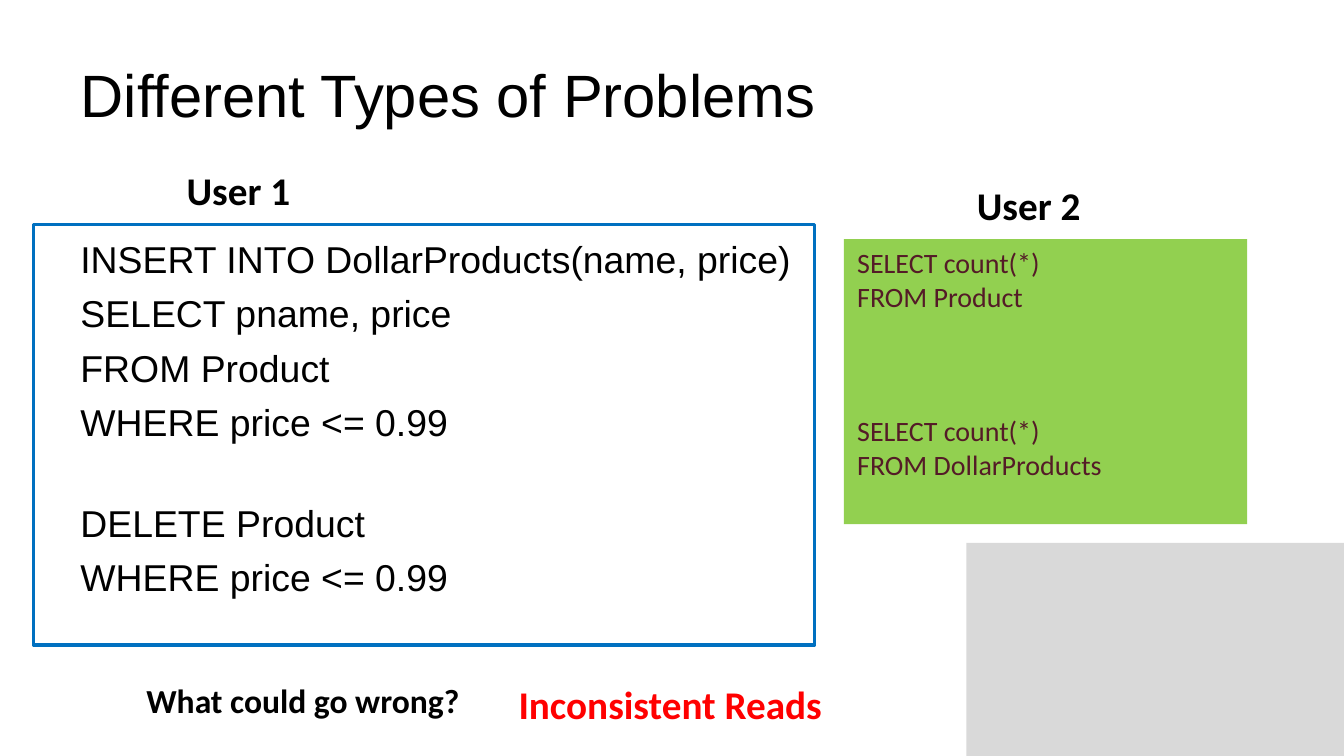
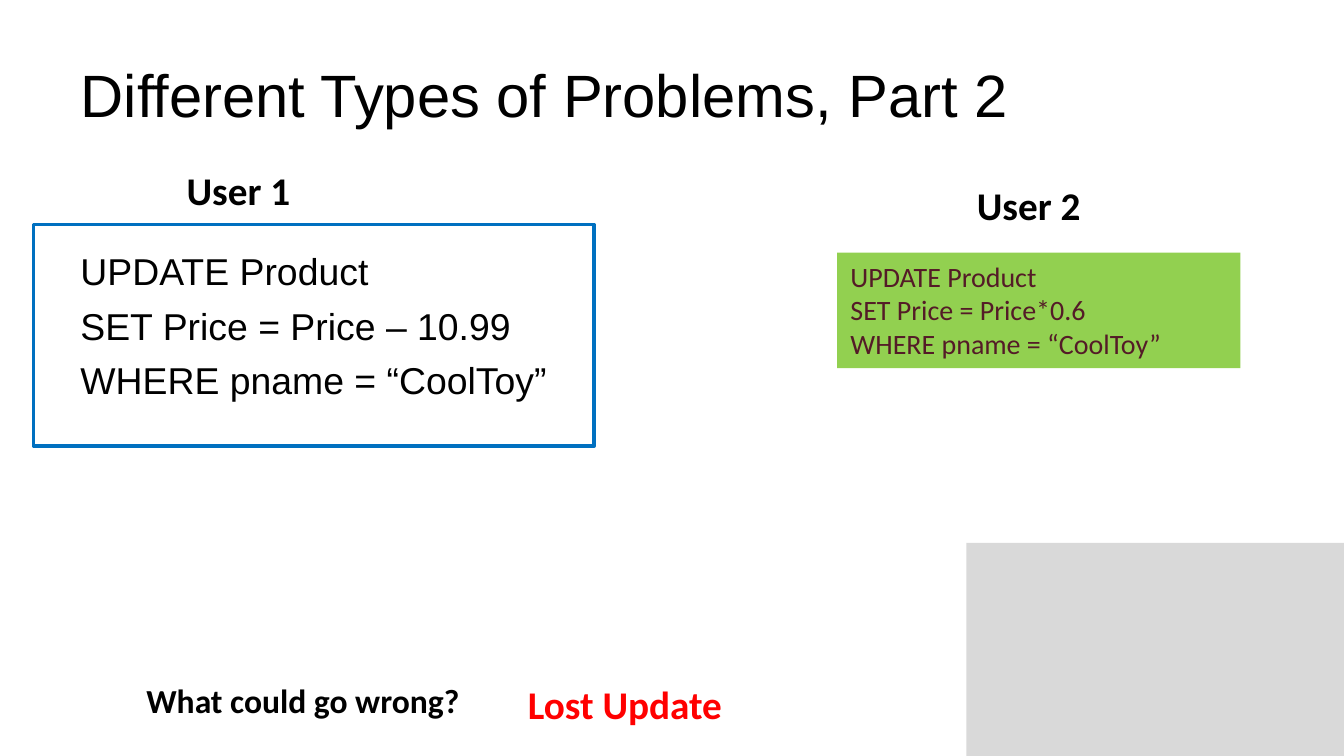
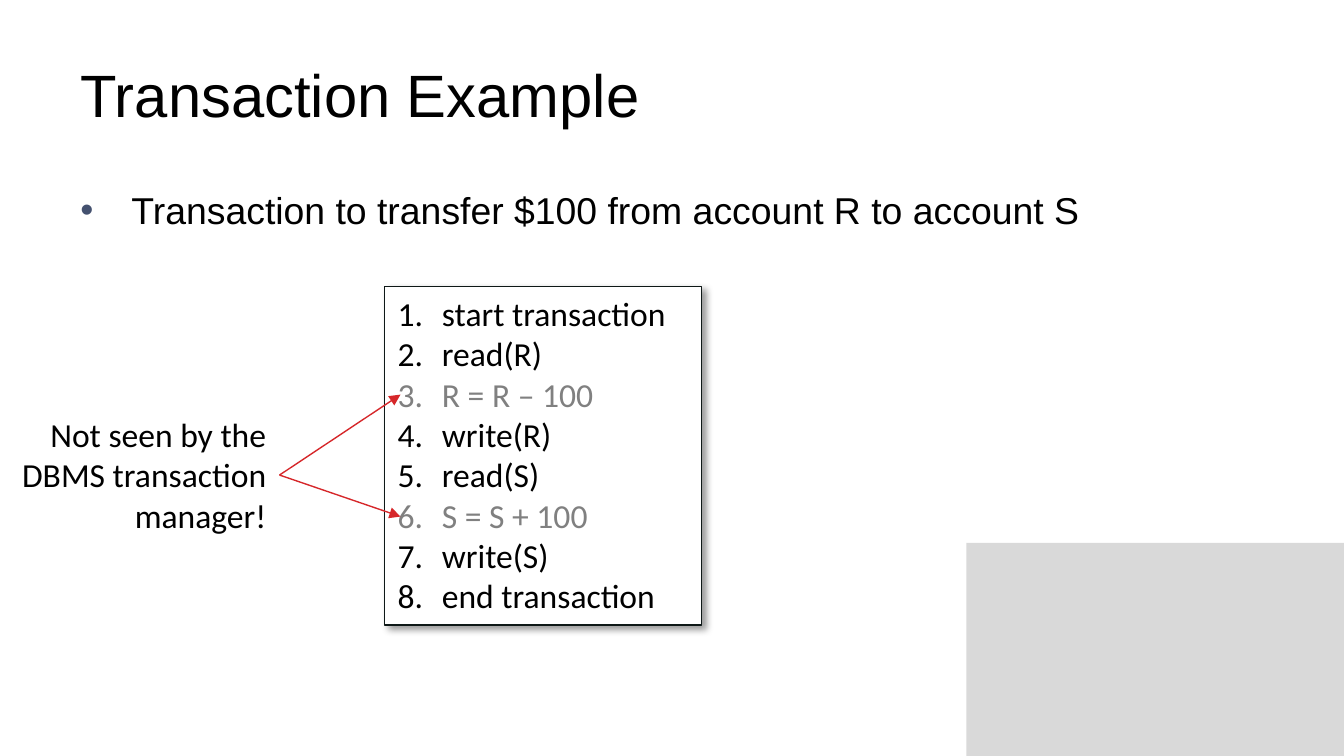
from typing import NamedTuple

from lxml import etree
from pptx import Presentation
from pptx.dml.color import RGBColor
from pptx.enum.shapes import MSO_CONNECTOR, MSO_SHAPE
from pptx.enum.text import MSO_ANCHOR, PP_ALIGN
from pptx.oxml.ns import qn
from pptx.util import Emu, Inches, Pt

RECTANGLE = MSO_SHAPE.RECTANGLE
STRAIGHT = MSO_CONNECTOR.STRAIGHT
TOP, MIDDLE = MSO_ANCHOR.TOP, MSO_ANCHOR.MIDDLE
LEFT, RIGHT = PP_ALIGN.LEFT, PP_ALIGN.RIGHT

COLORS = {
    "text": "000000", "corner": "D9D9D9", "frame": "0070C0",
    "panel": "92D050", "panel_text": "541B27", "answer": "FF0000",
    "bullet": "44516F", "list_fill": "FFFFFF", "list_line": "0E1817",
    "unseen": "808080", "arrow": "D6272A", "shadow": "000000",
}
HEADING_FONT, LABEL_FONT = "Arial", "Calibri"

# The slide is a grid of square cells, 100 columns by 56.25 rows.
CELL = Inches(0.1)
COLUMNS, ROWS = 100, 56.25
TITLE_ONLY = 5


class Box(NamedTuple):
    left: float
    top: float
    width: float
    height: float

    def inside(self, left, top, width, height):
        return Box(self.left + left, self.top + top, width, height)

    def emu(self):
        return [cells(value) for value in self]


CORNER = Box(71.9, 40.4, 28.1, 15.9)
TITLE = Box(5, 2.3, 90, 9.4)
USER_2 = Box(62, 13, 31, 27)
VERDICT = Box(9.9, 50.1, 52.5, 4.5)


def cells(count):
    return Emu(round(count * CELL))


def rgb(name):
    return RGBColor.from_string(COLORS[name])


def set_font(paragraph, size, color="text", font=LABEL_FONT, bold=False):
    paragraph.font.size = Pt(size)
    paragraph.font.name = font
    paragraph.font.bold = bold
    paragraph.font.color.rgb = rgb(color)


def add_paragraphs(shape, lines):
    """Write one paragraph per line and return the paragraphs."""
    frame = shape.text_frame
    frame.text = "\n".join(lines)
    for paragraph in frame.paragraphs:
        paragraph.alignment = LEFT
    return frame.paragraphs


def add_rectangle(slide, box, fill=None, line=None, line_width=1):
    shape = slide.shapes.add_shape(RECTANGLE, *box.emu())
    shape.shadow.inherit = False
    if fill:
        shape.fill.solid()
        shape.fill.fore_color.rgb = rgb(fill)
    else:
        shape.fill.background()
    if line:
        shape.line.color.rgb = rgb(line)
        shape.line.width = Pt(line_width)
    else:
        shape.line.fill.background()
    shape.text_frame.vertical_anchor = TOP
    return shape


def add_text_box(slide, box, lines, wrap=True):
    shape = slide.shapes.add_textbox(*box.emu())
    shape.text_frame.word_wrap = wrap
    return shape, add_paragraphs(shape, lines)


def add_label(slide, box, text, size=21, color="text"):
    _, (paragraph,) = add_text_box(slide, box, [text], wrap=False)
    set_font(paragraph, size, color, bold=True)


def add_body(slide, box, lines, gaps=None, bullet=False):
    """Large text; gaps maps a line number to its space before in points."""
    shape, paragraphs = add_text_box(slide, box, lines)
    shape.text_frame.margin_top = Inches(0.08)
    for number, paragraph in enumerate(paragraphs):
        if number:
            paragraph.space_before = Pt((gaps or {}).get(number, 5))
        if bullet:
            add_marker(paragraph, 0.38, "buChar", color="bullet", char="•")
        set_font(paragraph, 20, font=HEADING_FONT)


def add_marker(paragraph, indent, tag, color=None, **attributes):
    properties = paragraph._p.get_or_add_pPr()
    properties.set("marL", str(Inches(indent)))
    properties.set("indent", str(-Inches(indent)))
    if color:
        marker_color = etree.SubElement(properties, qn("a:buClr"))
        etree.SubElement(marker_color, qn("a:srgbClr"), val=COLORS[color])
    etree.SubElement(properties, qn("a:buFont"), typeface=HEADING_FONT if color else "+mj-lt")
    etree.SubElement(properties, qn("a:" + tag), **attributes)


def add_shadow(shape, blur, distance, angle, opacity):
    effects = shape._element.spPr.find(qn("a:effectLst"))
    shadow = etree.SubElement(
        effects, qn("a:outerShdw"), blurRad=str(Pt(blur)), dist=str(Pt(distance)),
        dir=str(angle * 60000), algn="tl", rotWithShape="0")
    color = etree.SubElement(shadow, qn("a:srgbClr"), val=COLORS["shadow"])
    etree.SubElement(color, qn("a:alpha"), val=str(opacity * 1000))


def add_arrow(slide, start, end):
    points = [cells(value) for value in (*start, *end)]
    arrow = slide.shapes.add_connector(STRAIGHT, *points)
    arrow.line.color.rgb = rgb("arrow")
    arrow.line.width = Pt(0.75)
    etree.SubElement(arrow.line._get_or_add_ln(), qn("a:tailEnd"), type="triangle")
    etree.SubElement(arrow._element.spPr, qn("a:effectLst"))


def add_slide(presentation, title):
    """Start a slide with the shared title style and grey corner."""
    slide = presentation.slides.add_slide(presentation.slide_layouts[TITLE_ONLY])
    add_rectangle(slide, CORNER, fill="corner")
    shape = slide.shapes.title
    shape.left, shape.top, shape.width, shape.height = TITLE.emu()
    shape.text_frame.vertical_anchor = MIDDLE
    (paragraph,) = add_paragraphs(shape, [title])
    set_font(paragraph, 32, font=HEADING_FONT)
    return slide


def add_user_1(slide, box, lines, text_top, gaps=None):
    add_label(slide, box.inside(10.4, -4.8, 9.8, 4.5), "User 1")
    add_body(slide, box.inside(2.5, text_top, 90, 37.1), lines, gaps)
    add_rectangle(slide, box, line="frame", line_width=2)


def add_user_2(slide, box, panel, lines, gaps=None):
    add_label(slide, box.inside(9.7, 0, 9.8, 4.5), "User 2")
    shape = add_rectangle(slide, box.inside(*panel), fill="panel")
    for number, paragraph in enumerate(add_paragraphs(shape, lines)):
        if number in (gaps or {}):
            paragraph.space_before = Pt(gaps[number])
        set_font(paragraph, 15, "panel_text")


def add_verdict(slide, box, answer, answer_left, answer_width):
    add_label(slide, box.inside(0, 0, 25.5, 4), "What could go wrong?", 18)
    add_label(slide, box.inside(answer_left, 0, answer_width, box.height),
              answer, color="answer")


def add_transaction_list(slide, box, steps, unseen):
    """Numbered steps; return the points where the unseen ones begin."""
    shape = add_rectangle(slide, box, "list_fill", "list_line", 0.75)
    add_shadow(shape, blur=4, distance=3, angle=45, opacity=40)
    for number, paragraph in enumerate(add_paragraphs(shape, steps), 1):
        add_marker(paragraph, 0.33, "buAutoNum", type="arabicPeriod")
        set_font(paragraph, 18, "unseen" if number in unseen else "text")
    margin = 0.5
    step_height = (box.height - 2 * margin) / len(steps)
    return [(box.left + 1.2, box.top + margin + (number - 0.5) * step_height)
            for number in unseen]


def add_note(slide, box, text, targets):
    _, (paragraph,) = add_text_box(slide, box, [text])
    paragraph.alignment = RIGHT
    set_font(paragraph, 18)
    for target in targets:
        add_arrow(slide, (box.left + box.width, box.top + box.height / 2), target)


def build_inconsistent_reads(presentation):
    slide = add_slide(presentation, "Different Types of Problems")
    add_user_1(slide, Box(2.5, 16.7, 58.1, 31.3), [
        "INSERT INTO DollarProducts(name, price)", "SELECT pname, price",
        "FROM Product", "WHERE price <= 0.99",
        "DELETE Product", "WHERE price <= 0.99",
    ], text_top=0.1, gaps={4: 30})
    add_user_2(slide, USER_2, (0.8, 4.8, 30, 21.2), [
        "SELECT count(*)", "FROM Product",
        "SELECT count(*)", "FROM DollarProducts",
    ], gaps={2: 54})
    add_verdict(slide, VERDICT, "Inconsistent Reads", 27.7, 24.8)


def build_lost_update(presentation):
    slide = add_slide(presentation, "Different Types of Problems, Part 2")
    add_user_1(slide, Box(2.5, 16.7, 41.7, 16.5), [
        "UPDATE Product", "SET Price = Price – 10.99", "WHERE pname = “CoolToy”",
    ], text_top=1)
    add_user_2(slide, USER_2, (0.3, 5.8, 30, 8.6), [
        "UPDATE Product", "SET Price = Price*0.6", "WHERE pname = “CoolToy”",
    ])
    add_verdict(slide, VERDICT, "Lost Update", 28.4, 16.6)


def build_transaction_example(presentation):
    slide = add_slide(presentation, "Transaction Example")
    add_body(slide, Box(5, 13.1, 90, 37.1),
             ["Transaction to transfer $100 from account R to account S"], bullet=True)
    targets = add_transaction_list(slide, Box(28.6, 21.3, 23.6, 25.2), [
        "start transaction", "read(R)", "R = R – 100", "write(R)",
        "read(S)", "S = S + 100", "write(S)", "end transaction",
    ], unseen=(3, 6))
    add_note(slide, Box(0, 30.3, 20.8, 10.1),
             "Not seen by the DBMS transaction manager!", targets)


def main():
    presentation = Presentation()
    presentation.slide_width = cells(COLUMNS)
    presentation.slide_height = cells(ROWS)
    build_inconsistent_reads(presentation)
    build_lost_update(presentation)
    build_transaction_example(presentation)
    presentation.save("out.pptx")


if __name__ == "__main__":
    main()
